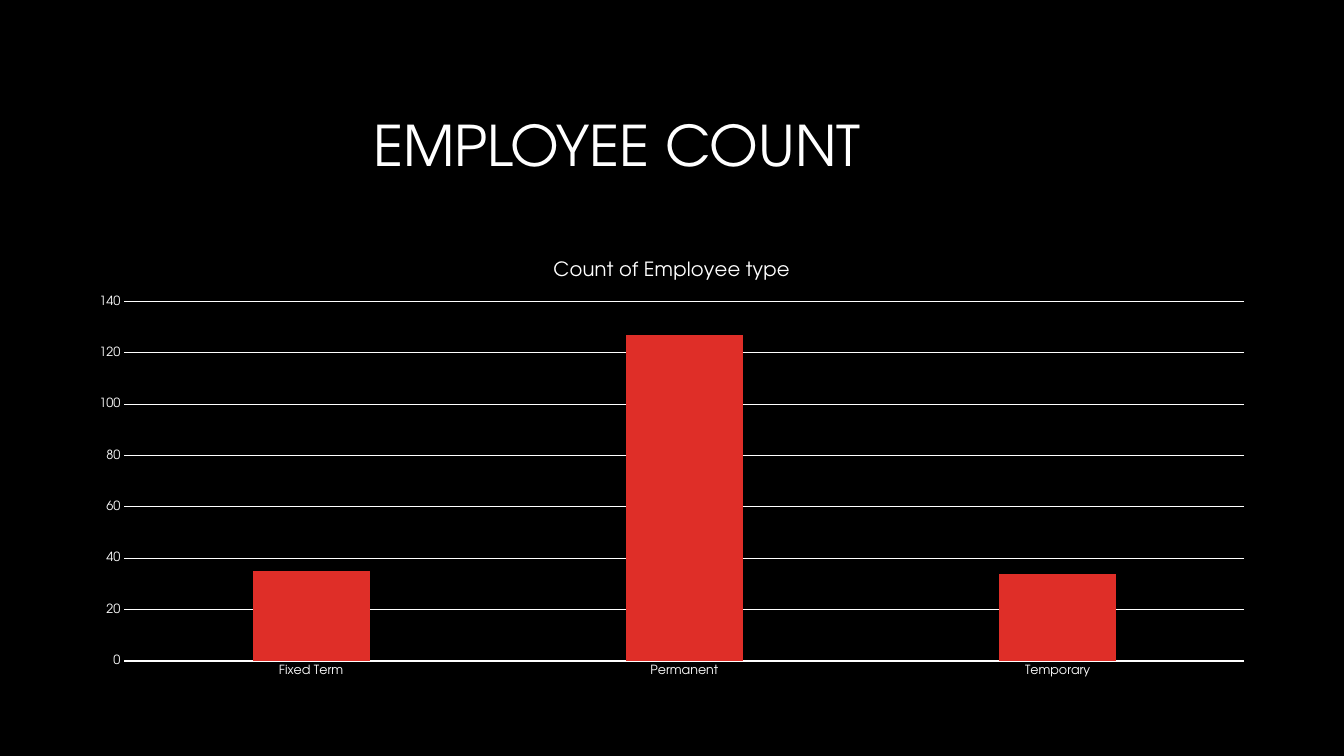
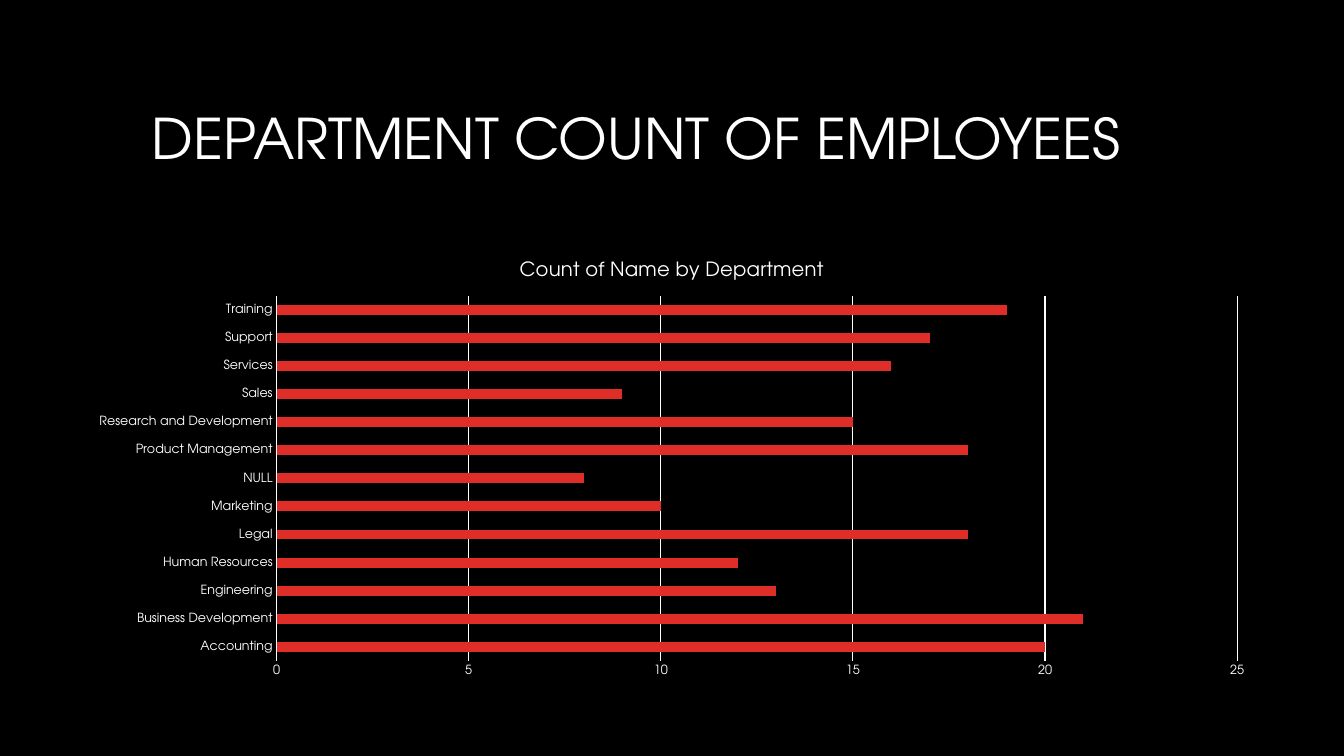
from pptx import Presentation
from pptx.chart.data import CategoryChartData
from pptx.dml.color import RGBColor
from pptx.enum.chart import XL_CHART_TYPE as ChartType, XL_TICK_MARK as TickMark
from pptx.enum.text import MSO_ANCHOR, MSO_AUTO_SIZE, PP_ALIGN
from pptx.util import Pt

BLACK = RGBColor(0x00, 0x00, 0x00)
WHITE = RGBColor(0xFF, 0xFF, 0xFF)
RED = RGBColor(0xDF, 0x2E, 0x28)
FONT = "TeX Gyre Adventor"
CHART_BOX = [Pt(n) for n in (54, 172.8, 851.8, 316.8)]

SLIDES = [
    {
        "title": "EMPLOYEE COUNT",
        "title_box": (101.5, 50.4, 678.2, 111.6),
        "align": PP_ALIGN.CENTER,
        "chart_title": "Count of Employee type",
        "chart_type": ChartType.COLUMN_CLUSTERED,
        "counts": {"Fixed Term": 35, "Permanent": 127, "Temporary": 34},
        "bars": {"gap_width": 219, "overlap": -27},
        "scale": {"minimum_scale": 0, "maximum_scale": 140, "major_unit": 20},
    },
    {
        "title": "DEPARTMENT COUNT OF EMPLOYEES",
        "title_box": (75.6, 50.4, 732.2, 101.5),
        "align": PP_ALIGN.RIGHT,
        "chart_title": "Count of Name by Department",
        "chart_type": ChartType.BAR_CLUSTERED,
        "counts": {
            "Accounting": 20,
            "Business Development": 21,
            "Engineering": 13,
            "Human Resources": 12,
            "Legal": 18,
            "Marketing": 10,
            "NULL": 8,
            "Product Management": 18,
            "Research and Development": 15,
            "Sales": 9,
            "Services": 16,
            "Support": 17,
            "Training": 19,
        },
        "bars": {"gap_width": 182},
        "scale": {"minimum_scale": 0, "maximum_scale": 25, "major_unit": 5},
    },
]


def set_font(font, size):
    font.name, font.size, font.bold = FONT, Pt(size), False
    font.color.rgb = WHITE


def set_all(target, values):
    for attribute, value in values.items():
        setattr(target, attribute, value)


deck = Presentation()
deck.slide_width, deck.slide_height = Pt(960), Pt(540)
background = deck.slide_master.background.fill
background.solid()
background.fore_color.rgb = BLACK
title_only = deck.slide_layouts[5]

for content in SLIDES:
    slide = deck.slides.add_slide(title_only)

    heading = slide.shapes.title
    heading.left, heading.top, heading.width, heading.height = map(Pt, content["title_box"])
    heading.text = content["title"]
    set_all(heading.text_frame, {
        "word_wrap": True,
        "auto_size": MSO_AUTO_SIZE.NONE,
        "vertical_anchor": MSO_ANCHOR.MIDDLE,
    })
    heading_line = heading.text_frame.paragraphs[0]
    set_all(heading_line, {"alignment": content["align"], "line_spacing": 0.9})
    set_font(heading_line.runs[0].font, 40)

    chart_data = CategoryChartData()
    chart_data.categories = list(content["counts"])
    chart_data.add_series("Series 1", list(content["counts"].values()))
    chart = slide.shapes.add_chart(content["chart_type"], *CHART_BOX, chart_data).chart
    set_font(chart.font, 10)
    chart.has_legend = False
    chart.has_title = True
    chart.chart_title.include_in_layout = False
    chart_heading = chart.chart_title.text_frame
    chart_heading.text = content["chart_title"]
    set_font(chart_heading.paragraphs[0].runs[0].font, 14)

    plot = chart.plots[0]
    plot.vary_by_categories = False
    set_all(plot, content["bars"])
    bars = plot.series[0]
    bars.invert_if_negative = False
    bars.format.fill.solid()
    bars.format.fill.fore_color.rgb = RED

    categories, values = chart.category_axis, chart.value_axis
    for axis in (categories, values):
        set_all(axis, {"major_tick_mark": TickMark.NONE, "minor_tick_mark": TickMark.NONE})
        set_font(axis.tick_labels.font, 9)
    set_all(values, content["scale"])
    values.has_major_gridlines = True
    values.format.line.fill.background()
    for line in (categories.format.line, values.major_gridlines.format.line):
        line.color.rgb = WHITE
        line.width = Pt(0.75)

deck.save("out.pptx")
